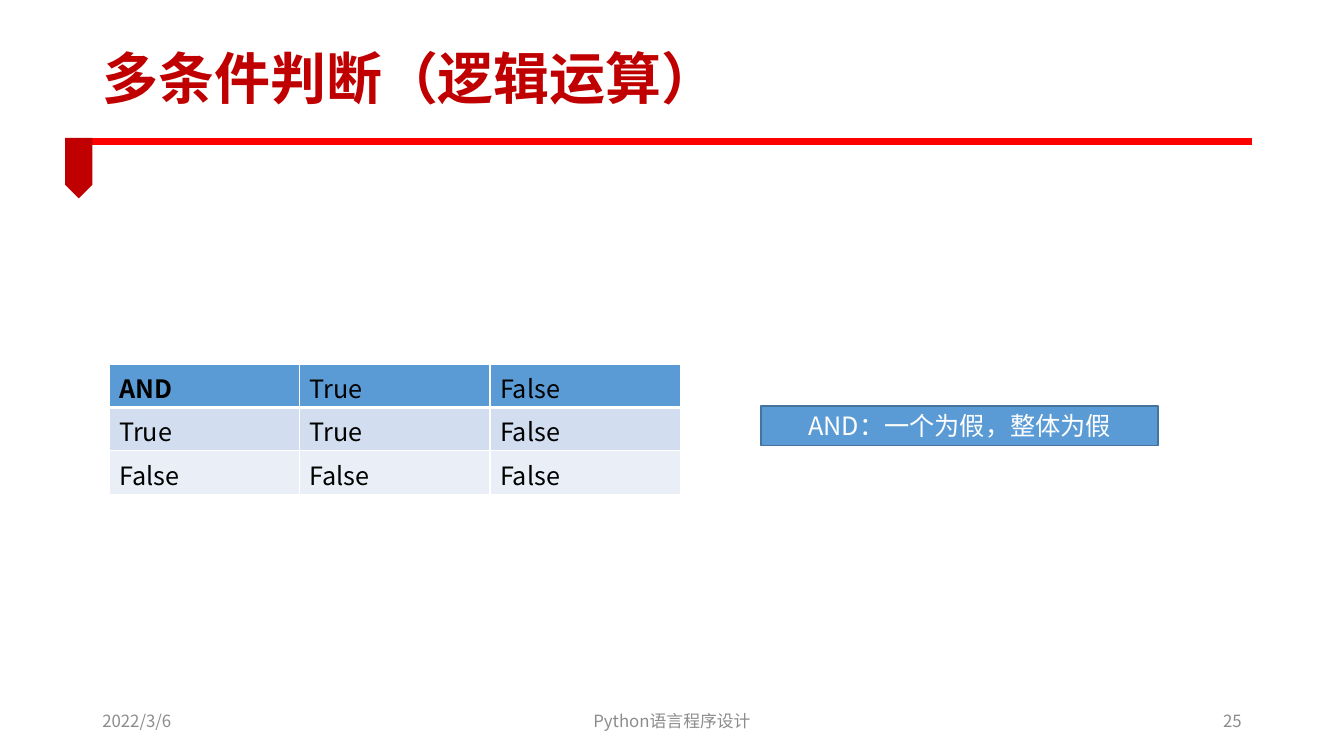
from lxml.etree import SubElement
from pptx import Presentation
from pptx.dml.color import RGBColor
from pptx.enum.shapes import MSO_CONNECTOR, MSO_SHAPE
from pptx.enum.text import MSO_ANCHOR, PP_ALIGN
from pptx.oxml import parse_xml
from pptx.oxml.ns import nsdecls, qn
from pptx.util import Pt

FONT = "Noto Sans CJK SC"
WHITE = RGBColor(0xFF, 0xFF, 0xFF)
BLACK = RGBColor(0x00, 0x00, 0x00)
GRAY = RGBColor(0x8C, 0x8C, 0x8C)
RED = RGBColor(0xFF, 0x00, 0x00)
DARK_RED = RGBColor(0xC0, 0x00, 0x00)
BLUE = RGBColor(0x5B, 0x9B, 0xD5)
BLUE_EDGE = RGBColor(0x43, 0x73, 0x9E)
ROW_FILLS = [BLUE, RGBColor(0xD2, 0xDE, 0xEF), RGBColor(0xEA, 0xEF, 0xF7)]

TITLE = "多条件判断（逻辑运算）"
RULE = "AND：一个为假，整体为假"
TRUTH_TABLE = [
    ("AND", "True", "False"),
    ("True", "True", "False"),
    ("False", "False", "False"),
]
FOOTERS = [
    ("2022/3/6", 66, 216, PP_ALIGN.LEFT),
    ("Python语言程序设计", 318, 324, PP_ALIGN.CENTER),
    ("25", 678, 216, PP_ALIGN.RIGHT),
]
MARGIN_LEFT, MARGIN_RIGHT = 66, 894
COLUMN_WIDTH, ROW_HEIGHT = 136, 31


def write(frame, text, size, color, align=PP_ALIGN.LEFT, bold=False):
    frame.word_wrap = True
    frame.vertical_anchor = MSO_ANCHOR.MIDDLE
    paragraph = frame.paragraphs[0]
    paragraph.alignment = align
    run = paragraph.add_run()
    run.text = text
    font = run.font
    font.name, font.size, font.bold = FONT, Pt(size), bold
    font.color.rgb = color
    SubElement(run._r.get_or_add_rPr(), qn("a:ea"), typeface=FONT)
    return paragraph


def add_text(slide, left, top, width, height, *content):
    box = slide.shapes.add_textbox(Pt(left), Pt(top), Pt(width), Pt(height))
    return write(box.text_frame, *content)


def add_filled_shape(slide, kind, left, top, width, height, fill):
    shape = slide.shapes.add_shape(kind, Pt(left), Pt(top), Pt(width), Pt(height))
    shape.shadow.inherit = False
    shape.fill.solid()
    shape.fill.fore_color.rgb = fill
    shape.line.fill.background()
    return shape


def set_borders(cell, widths):
    properties = cell._tc.get_or_add_tcPr()
    for index, (side, width) in enumerate(widths.items()):
        properties.insert(index, parse_xml(
            f'<a:ln{side} {nsdecls("a")} w="{Pt(width)}"><a:solidFill>'
            f'<a:srgbClr val="{WHITE}"/></a:solidFill></a:ln{side}>'))


def add_header(slide):
    line = slide.shapes.add_connector(
        MSO_CONNECTOR.STRAIGHT, Pt(MARGIN_LEFT), Pt(101), Pt(MARGIN_RIGHT), Pt(101))
    line.line.color.rgb = RED
    line.line.width = Pt(4.5)
    SubElement(line._element.spPr, qn("a:effectLst"))
    ribbon = add_filled_shape(
        slide, MSO_SHAPE.PENTAGON, 34.6, 110.4, 43.2, 19.4, DARK_RED)
    ribbon.rotation = 90
    title = add_text(slide, MARGIN_LEFT, 25, 639, 66, TITLE, 40, DARK_RED,
                     PP_ALIGN.LEFT, True)
    title.line_spacing = 0.9


def add_truth_table(slide):
    rows, columns = len(TRUTH_TABLE), len(TRUTH_TABLE[0])
    table = slide.shapes.add_table(
        rows, columns, Pt(78), Pt(260),
        Pt(columns * COLUMN_WIDTH), Pt(rows * ROW_HEIGHT)).table
    for column in table.columns:
        column.width = Pt(COLUMN_WIDTH)
    for row_index, (labels, fill) in enumerate(zip(TRUTH_TABLE, ROW_FILLS)):
        table.rows[row_index].height = Pt(ROW_HEIGHT)
        top = 3 if row_index == 1 else 1
        bottom = 3 if row_index == 0 else 1
        for column_index, label in enumerate(labels):
            cell = table.cell(row_index, column_index)
            cell.fill.solid()
            cell.fill.fore_color.rgb = fill
            write(cell.text_frame, label, 18, BLACK, PP_ALIGN.LEFT, label == "AND")
            cell.vertical_anchor = MSO_ANCHOR.TOP
            set_borders(cell, {"L": 1, "R": 1, "T": top, "B": bottom})


def main():
    presentation = Presentation()
    presentation.slide_width, presentation.slide_height = Pt(960), Pt(540)
    slide = presentation.slides.add_slide(presentation.slide_layouts[6])
    add_header(slide)
    add_truth_table(slide)
    for text, left, width, align in FOOTERS:
        add_text(slide, left, 500.5, width, 28.8, text, 12, GRAY, align)
    rule_box = add_filled_shape(
        slide, MSO_SHAPE.RECTANGLE, 543.6, 290, 283.7, 28.2, BLUE)
    rule_box.line.color.rgb = BLUE_EDGE
    rule_box.line.width = Pt(1)
    write(rule_box.text_frame, RULE, 18, WHITE, PP_ALIGN.CENTER)
    presentation.save("out.pptx")


if __name__ == "__main__":
    main()
